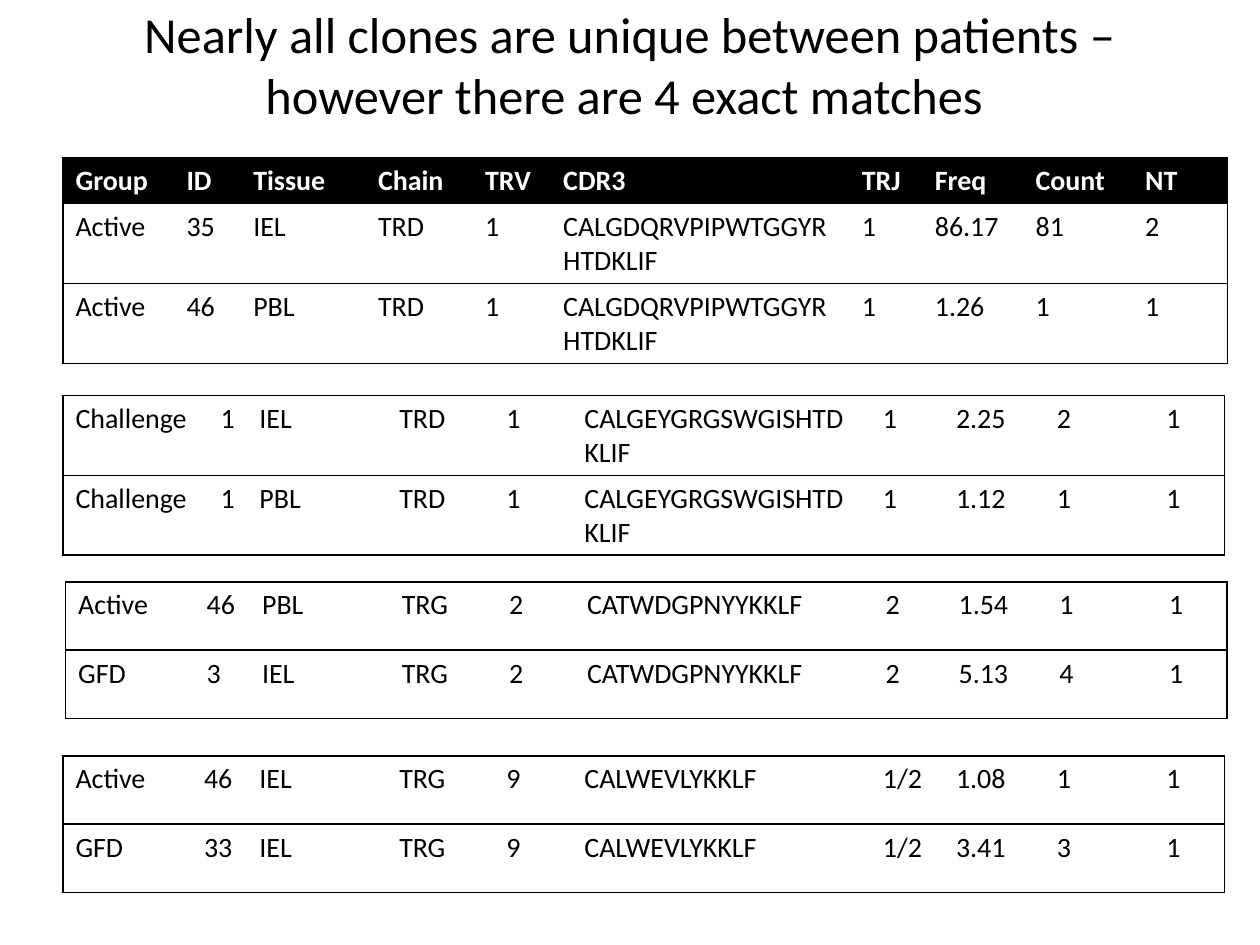
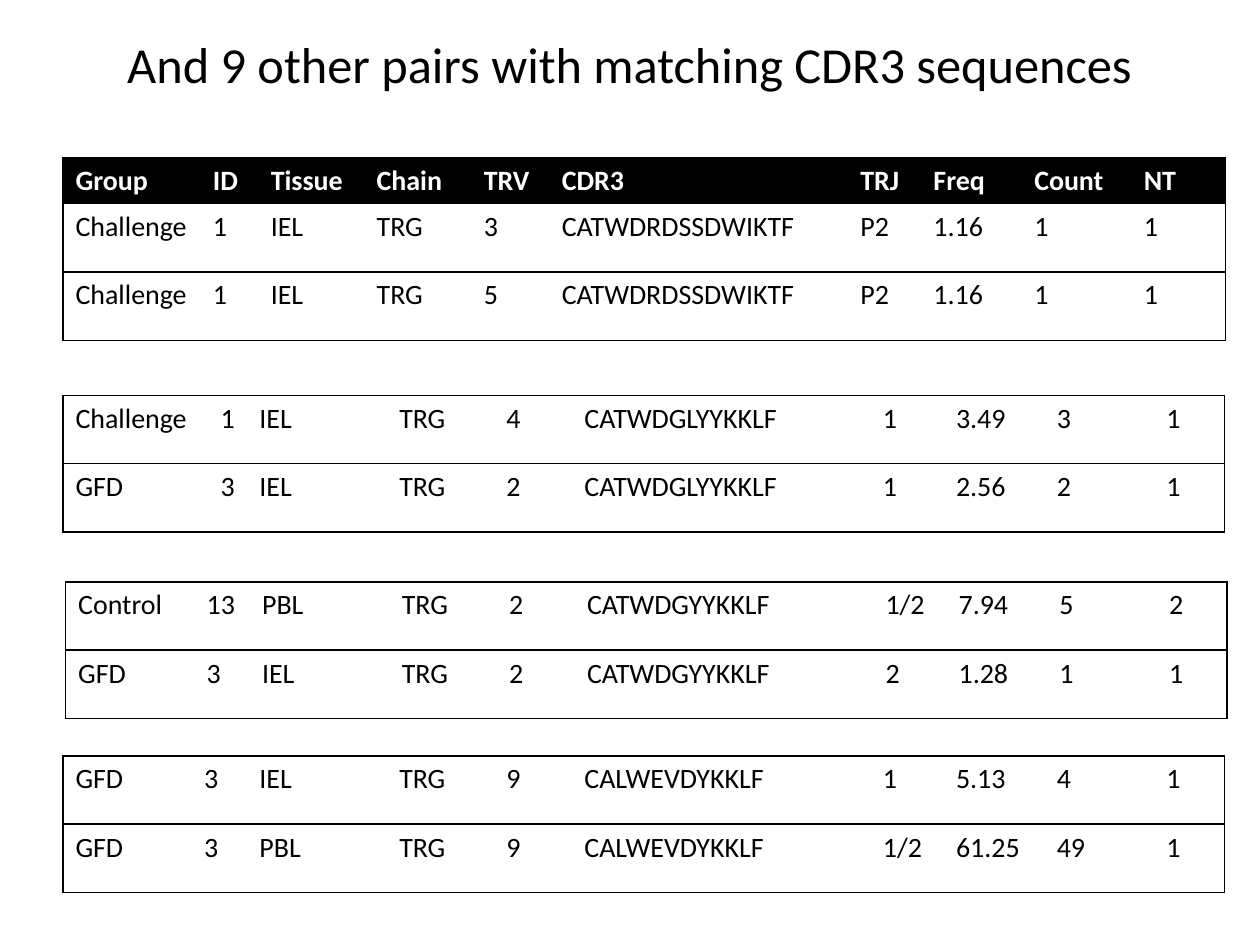
import pptx
import pptx.dml.color
import pptx.enum.text
import pptx.oxml.ns
import pptx.util
from lxml import etree

Pt = pptx.util.Pt

FONT = "Calibri"
BLACK, WHITE = "000000", "FFFFFF"
TITLE_BOX = (36, 14.4, 648, 44)
HEADER = "Group ID Tissue Chain TRV CDR3 TRJ Freq Count NT"

# Widths of Group, ID and Tissue vary; Chain to Count are the same in every table.
CHAIN_TO_COUNT = [61.2, 44.6, 170.6, 41.8, 57.6, 62.6]
HEADED_NT, PLAIN_NT = 54, 40.3
WIDE_GROUP = [82.8, 22.3, 79.9]
WIDE_ID = [73.4, 31.7, 79.9]
HEADER_HEIGHT, ROW_HEIGHT = 26, 39

# Left and top of the four clone pairs on each slide.
PAIR_PLACES = [(36, 90), (36, 226), (37.5, 332.5), (36, 432)]

# Each slide: title, then pairs of (first column widths, rows).
SLIDES = [
    ("Nearly all clones are unique between patients – however there are 4 exact matches ", [
        ([63.4, 38.2, 71.3], [
            "Active 35 IEL TRD 1 CALGDQRVPIPWTGGYRHTDKLIF 1 86.17 81 2",
            "Active 46 PBL TRD 1 CALGDQRVPIPWTGGYRHTDKLIF 1 1.26 1 1"]),
        (WIDE_GROUP, [
            "Challenge 1 IEL TRD 1 CALGEYGRGSWGISHTDKLIF 1 2.25 2 1",
            "Challenge 1 PBL TRD 1 CALGEYGRGSWGISHTDKLIF 1 1.12 1 1"]),
        (WIDE_ID, [
            "Active 46 PBL TRG 2 CATWDGPNYYKKLF 2 1.54 1 1",
            "GFD 3 IEL TRG 2 CATWDGPNYYKKLF 2 5.13 4 1"]),
        (WIDE_ID, [
            "Active 46 IEL TRG 9 CALWEVLYKKLF 1/2 1.08 1 1",
            "GFD 33 IEL TRG 9 CALWEVLYKKLF 1/2 3.41 3 1"]),
    ]),
    ("And 9 other pairs with matching CDR3 sequences", [
        ([78.5, 33.1, 60.5], [
            "Challenge 1 IEL TRG 3 CATWDRDSSDWIKTF P2 1.16 1 1",
            "Challenge 1 IEL TRG 5 CATWDRDSSDWIKTF P2 1.16 1 1"]),
        (WIDE_GROUP, [
            "Challenge 1 IEL TRG 4 CATWDGLYYKKLF 1 3.49 3 1",
            "GFD 3 IEL TRG 2 CATWDGLYYKKLF 1 2.56 2 1"]),
        (WIDE_ID, [
            "Control 13 PBL TRG 2 CATWDGYYKKLF 1/2 7.94 5 2",
            "GFD 3 IEL TRG 2 CATWDGYYKKLF 2 1.28 1 1"]),
        (WIDE_ID, [
            "GFD 3 IEL TRG 9 CALWEVDYKKLF 1 5.13 4 1",
            "GFD 3 PBL TRG 9 CALWEVDYKKLF 1/2 61.25 49 1"]),
    ]),
]


def rgb(value):
    return pptx.dml.color.RGBColor.from_string(value)


def write(tf, text, color, **font):
    r = tf.paragraphs[0].add_run()
    r.text = text
    r.font.color.rgb = rgb(color)
    for name, value in {"name": FONT, **font}.items():
        setattr(r.font, name, value)


def add_title(s, text):
    sp = s.shapes.add_textbox(*map(Pt, TITLE_BOX))
    tf = sp.text_frame
    tf.word_wrap = True
    tf.vertical_anchor = pptx.enum.text.MSO_ANCHOR.MIDDLE
    tf.paragraphs[0].alignment = pptx.enum.text.PP_ALIGN.CENTER
    write(tf, text, BLACK, size=Pt(28.8))


def set_borders(cell, drawn, width):
    """Draw the named sides (L, R, T, B) in black and clear the others."""
    tc_pr = cell._tc.get_or_add_tcPr()
    qn = pptx.oxml.ns.qn
    for side in "LRTB":
        ln = etree.SubElement(tc_pr, qn("a:ln" + side), w=str(Pt(width)))
        if side in drawn:
            fill = etree.SubElement(ln, qn("a:solidFill"))
            etree.SubElement(fill, qn("a:srgbClr"), val=BLACK)
        else:
            etree.SubElement(ln, qn("a:noFill"))


def add_clone_pair(s, place, first_widths, rows, headed):
    lines = [HEADER] * headed + rows
    widths = first_widths + CHAIN_TO_COUNT + [HEADED_NT if headed else PLAIN_NT]
    heights = [HEADER_HEIGHT] * headed + [ROW_HEIGHT] * len(rows)
    size = (sum(widths), sum(heights))
    table = s.shapes.add_table(len(lines), len(widths), *map(Pt, place + size)).table
    table.first_row = headed
    table.horz_banding = False
    for column, width in zip(table.columns, widths):
        column.width = Pt(width)
    for i, line in enumerate(lines):
        table.rows[i].height = Pt(heights[i])
        in_header = headed and i == 0
        for j, text in enumerate(line.split()):
            cell = table.cell(i, j)
            sides = "TB" + "L" * (j == 0) + "R" * (j == len(widths) - 1)
            set_borders(cell, sides, 0.75 if headed else 1)
            if in_header:
                cell.fill.solid()
                cell.fill.fore_color.rgb = rgb(BLACK)
            else:
                cell.fill.background()
            write(cell.text_frame, text, WHITE if in_header else BLACK,
                  size=Pt(16), bold=in_header)


def main():
    prs = pptx.Presentation()
    prs.slide_width, prs.slide_height = Pt(720), Pt(540)
    for title, pairs in SLIDES:
        s = prs.slides.add_slide(prs.slide_layouts[6])
        add_title(s, title)
        for i, (place, (first_widths, rows)) in enumerate(zip(PAIR_PLACES, pairs)):
            add_clone_pair(s, place, first_widths, rows, headed=i == 0)
    prs.save("out.pptx")


if __name__ == "__main__":
    main()
